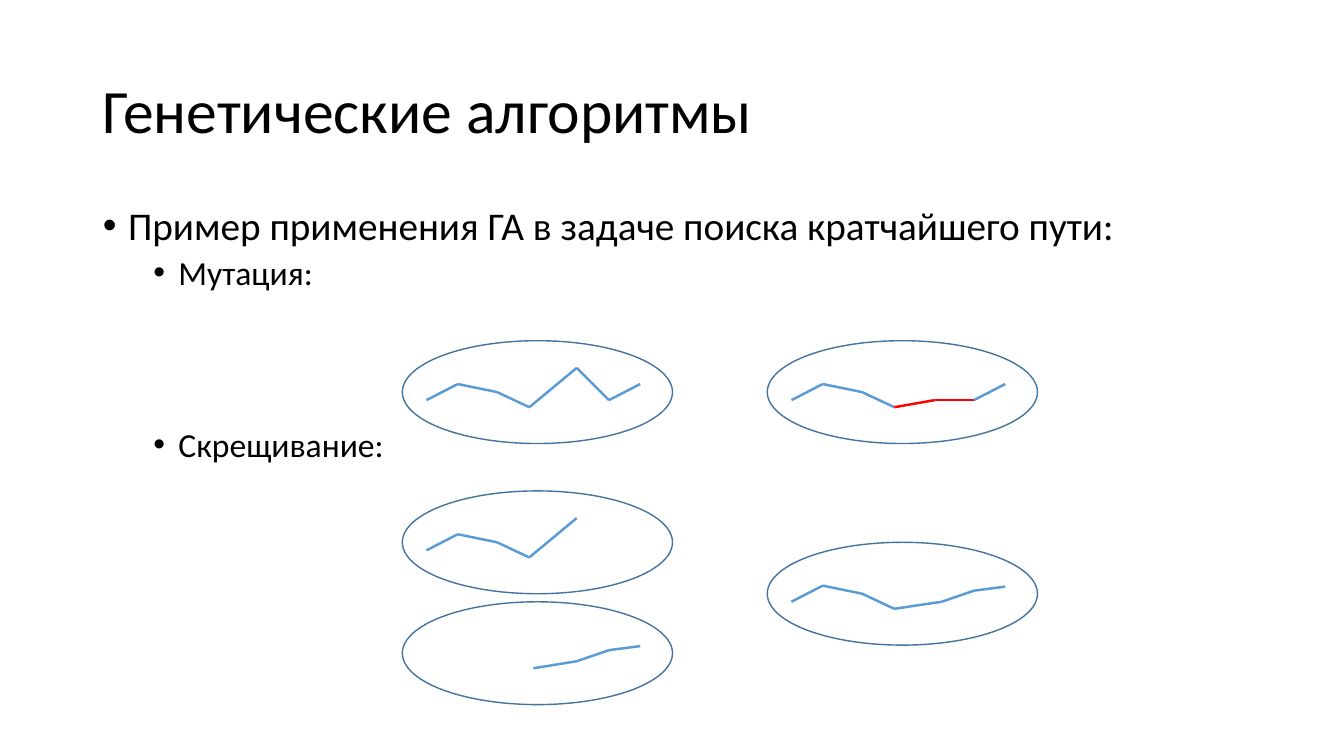
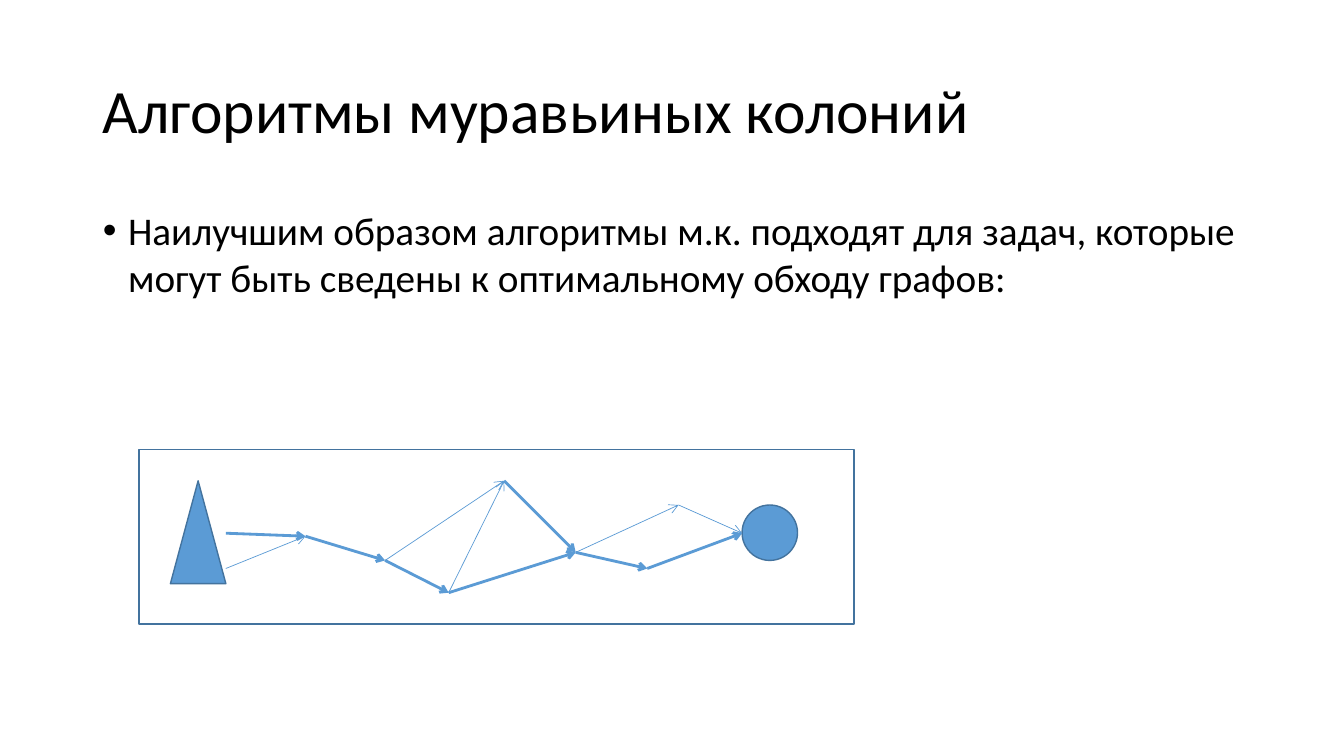
import itertools

import lxml.etree
import pptx
import pptx.dml.color
import pptx.enum.shapes
import pptx.enum.text
import pptx.oxml.ns
import pptx.util

PX = 9144
FONT = "Calibri"
BLACK, BLUE, NAVY, RED = "000000", "5B9BD5", "43739E", "FF0000"
TITLE_BOX = (92, 40, 1150, 145)
OVAL_SIZE = (268, 102)
SHAPES = pptx.enum.shapes.MSO_SHAPE

PATH_START = [(24, 59), (55, 43), (94, 51), (126, 66)]
PATH_END = [(173, 59), (205, 48), (236, 44)]
DETOUR = [(173, 27), (205, 59), (236, 43)]
SHORTCUT = [(166, 59), (205, 59), (236, 43)]

NODES = {
    "nest top": (86, 83), "nest bottom": (86, 118), "join": (165, 86),
    "fork": (244, 110), "low": (307, 142), "high": (362, 31),
    "merge": (433, 102), "lower": (504, 118), "upper": (535, 55),
    "food": (598, 83),
}
WEAK_TRAILS = [("nest bottom", "join"), ("low", "high"), ("fork", "high"),
               ("merge", "upper"), ("upper", "food")]
STRONG_TRAILS = [("nest top", "join"), ("join", "fork"), ("fork", "low"),
                 ("low", "merge"), ("high", "merge"), ("merge", "lower"),
                 ("lower", "food")]


def px(length):
    """Turn px into EMU."""
    return pptx.util.Emu(length * PX)


def color(value):
    """Turn a hex string into a colour."""
    return pptx.dml.color.RGBColor.from_string(value)


def add_xml(parent, tag, **attributes):
    """Append a DrawingML element to its parent."""
    return lxml.etree.SubElement(parent, pptx.oxml.ns.qn(f"a:{tag}"), attributes)


def place(item, box):
    """Move an object to a box given in px."""
    item.left, item.top, item.width, item.height = map(px, box)


def write(frame, text, size=28, level=0, spacing=0.9, before=0, bullet=None):
    """Write one formatted paragraph into a text frame."""
    para = frame.paragraphs[0]
    if para.runs:
        para = frame.add_paragraph()
    para.level = level
    para.line_spacing = spacing
    para.space_before = pptx.util.Pt(before)
    para.alignment = pptx.enum.text.PP_ALIGN.LEFT
    if bullet:
        properties = para._p.get_or_add_pPr()
        properties.set("marL", str(px(25 + 50 * level)))
        properties.set("indent", str(px(-25)))
        add_xml(properties, "buFont", typeface="Arial")
        add_xml(properties, "buChar", char=bullet)
    span = para.add_run()
    span.text = text
    span.font.name = FONT
    span.font.size = pptx.util.Pt(size)
    span.font.color.rgb = color(BLACK)


def add_page(deck, title, body_height):
    """Add a titled page and return it with its body text frame."""
    page = deck.slides.add_slide(deck.slide_layouts[1])
    heading, body = page.placeholders
    place(heading, TITLE_BOX)
    place(body, (92, 200, 1150, body_height))
    for box in (heading, body):
        box.text_frame.word_wrap = True
        box.text_frame.auto_size = pptx.enum.text.MSO_AUTO_SIZE.NONE
    heading.text_frame.vertical_anchor = pptx.enum.text.MSO_ANCHOR.MIDDLE
    write(heading.text_frame, title, size=44)
    return page, body.text_frame


def add_figure(page, kind, box, fill=None):
    """Add an outlined preset shape."""
    figure = page.shapes.add_shape(kind, *map(px, box))
    figure.shadow.inherit = False
    if fill:
        figure.fill.solid()
        figure.fill.fore_color.rgb = color(fill)
    else:
        figure.fill.background()
    figure.line.color.rgb = color(NAVY)
    figure.line.width = pptx.util.Pt(1)


def add_line(page, origin, start, end, stroke=BLUE, width=1.75, arrow=False):
    """Add a line between two points measured from an origin."""
    left, top = origin
    ends = (left + start[0], top + start[1], left + end[0], top + end[1])
    line = page.shapes.add_connector(
        pptx.enum.shapes.MSO_CONNECTOR.STRAIGHT, *map(px, ends))
    line.line.color.rgb = color(stroke)
    line.line.width = pptx.util.Pt(width)
    if arrow:
        add_xml(line.line._get_or_add_ln(), "tailEnd", type="arrow")
    add_xml(line._element.spPr, "effectLst")


def draw_route(page, origin, points, mutated=()):
    """Draw an oval with a route, its mutated segments in red."""
    add_figure(page, SHAPES.OVAL, origin + OVAL_SIZE)
    for index, (start, end) in enumerate(itertools.pairwise(points)):
        add_line(page, origin, start, end, RED if index in mutated else BLUE)


def draw_trails(page, box):
    """Draw a framed graph of ant trails from the nest to the food."""
    left, top = origin = box[:2]
    add_figure(page, SHAPES.ISOSCELES_TRIANGLE, (left + 31, top + 31, 55, 102), BLUE)
    add_figure(page, SHAPES.OVAL, (left + 598, top + 55, 55, 55), BLUE)
    for trails, width in ((WEAK_TRAILS, 0.5), (STRONG_TRAILS, 2)):
        for start, end in trails:
            add_line(page, origin, NODES[start], NODES[end], width=width, arrow=True)
    add_figure(page, SHAPES.RECTANGLE, box)


def build_genetic_page(deck):
    """Build the page on mutation and crossover."""
    page, body = add_page(deck, "Генетические алгоритмы", 476)
    write(body, "Пример применения ГА в задаче поиска кратчайшего пути:",
          before=10, bullet="•")
    write(body, "Мутация:", size=24, level=1, before=5, bullet="•")
    write(body, "Скрещивание:", size=24, level=1, before=97, bullet="•")
    parents, children = 399, 761
    draw_route(page, (parents, 338), PATH_START + DETOUR)
    draw_route(page, (children, 338), PATH_START + SHORTCUT, mutated=(3, 4))
    draw_route(page, (parents, 487), PATH_START + DETOUR[:1])
    draw_route(page, (parents, 597), [(130, 66)] + PATH_END)
    draw_route(page, (children, 538), PATH_START + PATH_END)


def build_colony_page(deck):
    """Build the page on ant colonies."""
    page, body = add_page(deck, "Алгоритмы муравьиных колоний", 132)
    write(body, "Наилучшим образом алгоритмы м.к. подходят для задач, которые "
                "могут быть сведены к оптимальному обходу графов:",
          spacing=1.0, before=10, bullet="•")
    draw_trails(page, (138, 446, 709, 173))


def main():
    """Build and save the deck."""
    deck = pptx.Presentation()
    deck.slide_width, deck.slide_height = px(1333), px(750)
    build_genetic_page(deck)
    build_colony_page(deck)
    deck.save("out.pptx")


if __name__ == "__main__":
    main()
